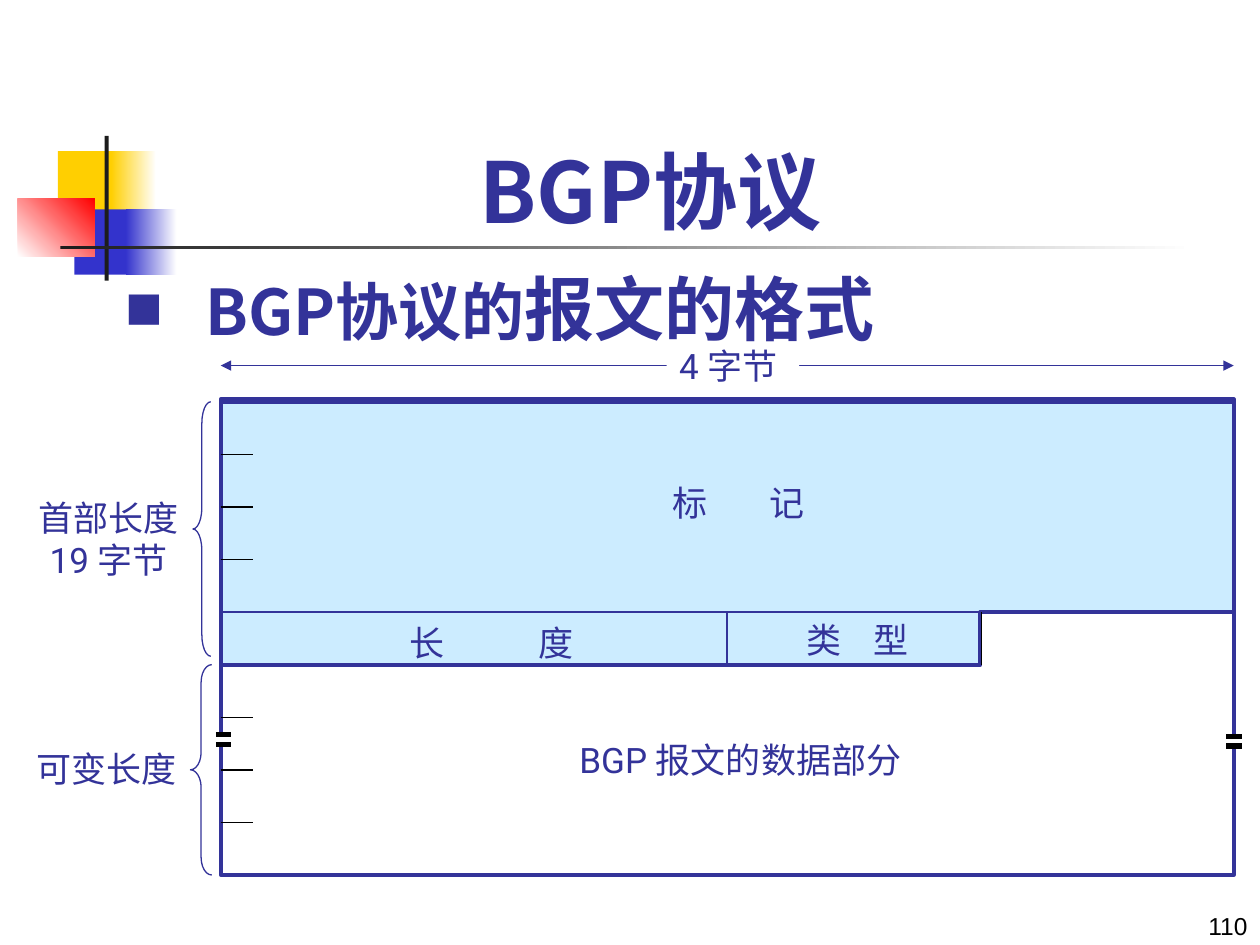
from lxml.etree import SubElement
from pptx import Presentation
from pptx.dml.color import RGBColor
from pptx.enum.shapes import MSO_CONNECTOR as Connector, MSO_SHAPE as Shape
from pptx.enum.text import MSO_ANCHOR as Anchor, MSO_AUTO_SIZE as AutoSize, PP_ALIGN as Align
from pptx.oxml.ns import qn
from pptx.util import Cm, Pt

NAVY = RGBColor(0x33, 0x33, 0x99)
BLUE = RGBColor(0x33, 0x33, 0xCC)
YELLOW = RGBColor(0xFF, 0xCF, 0x01)
RED = RGBColor(0xFF, 0x00, 0x00)
SKY = RGBColor(0xCC, 0xEC, 0xFF)
INK = RGBColor(0x1C, 0x1C, 0x1C)
BLACK = RGBColor(0x00, 0x00, 0x00)
WHITE = RGBColor(0xFF, 0xFF, 0xFF)
HEADING_FONT = "Noto Sans CJK JP"
LABEL_FONT = "Roboto"


def add_span(para, text, size=20, font=LABEL_FONT, color=NAVY, bold=False):
    """Append one formatted run to a paragraph."""
    span = para.add_run()
    span.text = text
    span.font.size, span.font.name, span.font.bold = Pt(size), font, bold
    span.font.color.rgb = color
    SubElement(span.font._element, qn("a:ea"), typeface=HEADING_FONT)


def add_text(page, text, x, y, width, height, align=Align.LEFT, anchor=Anchor.TOP,
             tab=None, **style):
    """Add a text box with one paragraph per line and an optional tab stop."""
    box = page.shapes.add_textbox(Cm(x), Cm(y), Cm(width), Cm(height))
    frame = box.text_frame
    frame.word_wrap = tab is not None
    frame.vertical_anchor = anchor
    for index, line in enumerate(text.split("\n")):
        para = frame.add_paragraph() if index else frame.paragraphs[0]
        para.alignment = align
        if tab:
            frame.margin_right = 0
            stops = SubElement(para._p.get_or_add_pPr(), qn("a:tabLst"))
            SubElement(stops, qn("a:tab"), pos=str(Cm(tab)), algn="l")
        add_span(para, line, **style)
    return box


def add_block(page, x, y, width, height, fill=None, fade=None, angle=0,
              line=None, weight=1, preset=Shape.RECTANGLE):
    """Add a preset shape with a solid, fading or empty fill."""
    block = page.shapes.add_shape(preset, Cm(x), Cm(y), Cm(width), Cm(height))
    block.shadow.inherit = False
    if fade is not None:
        block.fill.gradient()
        block.fill.gradient_angle = angle
        for stop, color in zip(block.fill.gradient_stops, (fill, fade)):
            stop.color.rgb = color
    elif fill is not None:
        block.fill.solid()
        block.fill.fore_color.rgb = fill
    else:
        block.fill.background()
    if line is None:
        block.line.fill.background()
    else:
        block.line.color.rgb, block.line.width = line, Pt(weight)
    return block


def add_line(page, x1, y1, x2, y2, color=NAVY, weight=1, arrows=False):
    """Add a straight line, with arrowheads at both ends on request."""
    line = page.shapes.add_connector(Connector.STRAIGHT, Cm(x1), Cm(y1), Cm(x2), Cm(y2))
    line.line.color.rgb, line.line.width = color, Pt(weight)
    if arrows:
        for end in ("a:headEnd", "a:tailEnd"):
            SubElement(line.line._get_or_add_ln(), qn(end), type="triangle")
    SubElement(line._element.spPr, qn("a:effectLst"))


def add_ornament(page, left, top):
    """Draw the coloured squares and the fading rule behind the title."""
    for x, y, width, height, fill, fade, angle in (
        (0.81, 0.31, 1.22, 1.32, YELLOW, None, 0),
        (1.88, 0.31, 0.91, 1.32, YELLOW, WHITE, 0),
        (1.14, 1.48, 1.17, 1.32, BLUE, None, 0),
        (2.18, 1.48, 1.02, 1.32, BLUE, WHITE, 0),
        (0, 1.27, 1.55, 1.17, WHITE, RED, 45),
        (1.75, 0, 0.08, 2.92, INK, None, 0),
        (0.86, 2.21, 22.86, 0.08, INK, WHITE, 0),
    ):
        add_block(page, left + x, top + y, width, height, fill, fade, angle)


def add_title(page, left, top, width, height):
    """Place and format the title placeholder."""
    title = page.shapes.title
    title.left, title.top, title.width, title.height = map(Cm, (left, top, width, height))
    frame = title.text_frame
    frame.auto_size, frame.vertical_anchor = AutoSize.NONE, Anchor.BOTTOM
    para = frame.paragraphs[0]
    para.alignment = Align.CENTER
    add_span(para, "BGP协议", size=48, font=HEADING_FONT, bold=True)


def add_heading(page, left, top, width, height):
    """Write the bulleted heading above the diagram."""
    box = page.shapes.add_textbox(Cm(left), Cm(top), Cm(width), Cm(height))
    box.text_frame.word_wrap = True
    para = box.text_frame.paragraphs[0]
    props = para._p.get_or_add_pPr()
    props.set("marL", str(Cm(1.6)))
    props.set("indent", str(Cm(-1.6)))
    SubElement(SubElement(props, qn("a:buClr")), qn("a:srgbClr"), val=str(NAVY))
    SubElement(props, qn("a:buSzPct"), val="60000")
    SubElement(props, qn("a:buFont"), typeface=HEADING_FONT)
    SubElement(props, qn("a:buChar"), char="■")
    for text, size in (("BGP协议的", 36), ("报文的格式", 40)):
        add_span(para, text, size=size, font=HEADING_FONT, bold=True)


def add_width_measure(page, left, top, width):
    """Draw the double arrow that gives the width of a message row."""
    add_line(page, left, top, left + width, top, weight=0.75, arrows=True)
    label = add_text(page, "4 字节", left + 8.99, top - 0.54, 2.67, 1.09)
    label.fill.solid()
    label.fill.fore_color.rgb = WHITE


def add_break(page, left, top):
    """Draw the break mark on a side of the frame."""
    add_block(page, left, top, 0.46, 0.23, WHITE)
    for y in (top - 0.02, top + 0.18):
        add_line(page, left + 0.08, y, left + 0.39, y, BLACK, 3)


def add_message(page, left, top, width, height):
    """Draw the message layout on a grid of nine rows and four columns."""
    row, column = height / 9, width / 4
    right, edge = left + width, left + 3 * column
    header_top, header_bottom = top + 4 * row, top + 5 * row

    outline = [(left, header_bottom), (edge, header_bottom), (edge, header_top),
               (right, header_top), (right, top)]
    builder = page.shapes.build_freeform(Cm(left), Cm(top))
    builder.add_line_segments([(Cm(x), Cm(y)) for x, y in outline], close=True)
    header = builder.convert_to_shape()
    header.shadow.inherit = False
    header.fill.solid()
    header.fill.fore_color.rgb = SKY
    header.line.color.rgb, header.line.width = NAVY, Pt(2.25)

    add_block(page, left, top - 0.05, width, height + 0.05, line=NAVY, weight=2.25)
    add_line(page, left, header_top, right, header_top)
    add_line(page, left + 2 * column, header_top, left + 2 * column, header_bottom)
    add_line(page, edge + 0.02, header_top, edge + 0.02, header_bottom, BLACK)
    for index in (1, 2, 3, 6, 7, 8):
        y = top + index * row
        add_line(page, left, y, left + 0.65, y, BLACK, 0.75)

    for text, x, y, label_width, tab in (
        ("类\t型", 11.55, 4.24, 2.54, 1.35),
        ("长\t度", 3.55, 4.3, 3.81, 2.6),
        ("标\t记", 8.86, 1.48, 3.18, 1.95),
        ("BGP 报文的数据部分", 6.98, 6.66, 7.21, None),
    ):
        add_text(page, text, left + x, top + y, label_width, 1.09, tab=tab)
    for x, y in ((-0.18, 6.73), (width - 0.23, 6.76)):
        add_break(page, left + x, top + y)


def add_part_braces(page, left, top):
    """Bracket and name the header and the variable part."""
    for text, text_x, text_y, text_height, x, y, width, height, curve in (
        ("首部长度\n19 字节", 0.05, 1.78, 1.93, 3.41, 0, 0.36, 5.13, 1.2),
        ("可变长度", 0, 6.84, 1.09, 3.36, 5.3, 0.43, 4.24, 0.82),
    ):
        add_text(page, text, left + text_x, top + text_y, 3.33, text_height, Align.CENTER)
        brace = add_block(page, left + x, top + y, width, height, line=NAVY,
                          weight=0.75, preset=Shape.LEFT_BRACE)
        brace.adjustments[0] = curve


def main():
    """Build the slide and save the deck."""
    deck = Presentation()
    deck.slide_width, deck.slide_height = Cm(25.4), Cm(19.05)
    page = deck.slides.add_slide(deck.slide_layouts[5])
    add_ornament(page, 0.36, 2.74)
    add_title(page, 2.29, 0.91, 21.64, 4.06)
    add_width_measure(page, 4.45, 7.37, 20.42)
    add_message(page, 4.45, 8.1, 20.42, 9.54)
    add_part_braces(page, 0.48, 8.1)
    add_heading(page, 2.29, 5.23, 15.93, 1.96)
    add_text(page, "110", 20.12, 17.81, 5.28, 1.27, Align.RIGHT, Anchor.BOTTOM,
             size=14, font="Arial", color=BLACK)
    deck.save("out.pptx")


if __name__ == "__main__":
    main()
